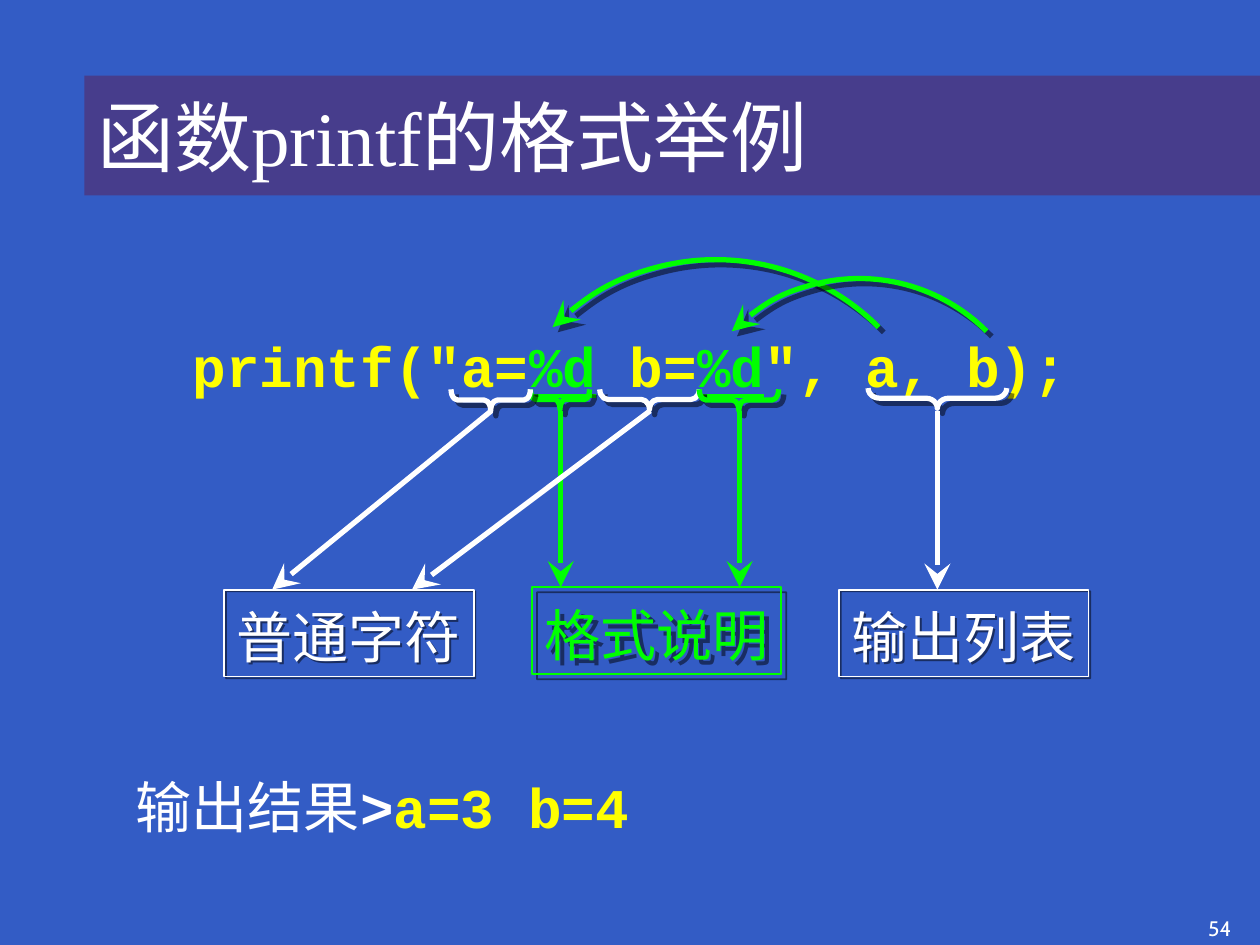
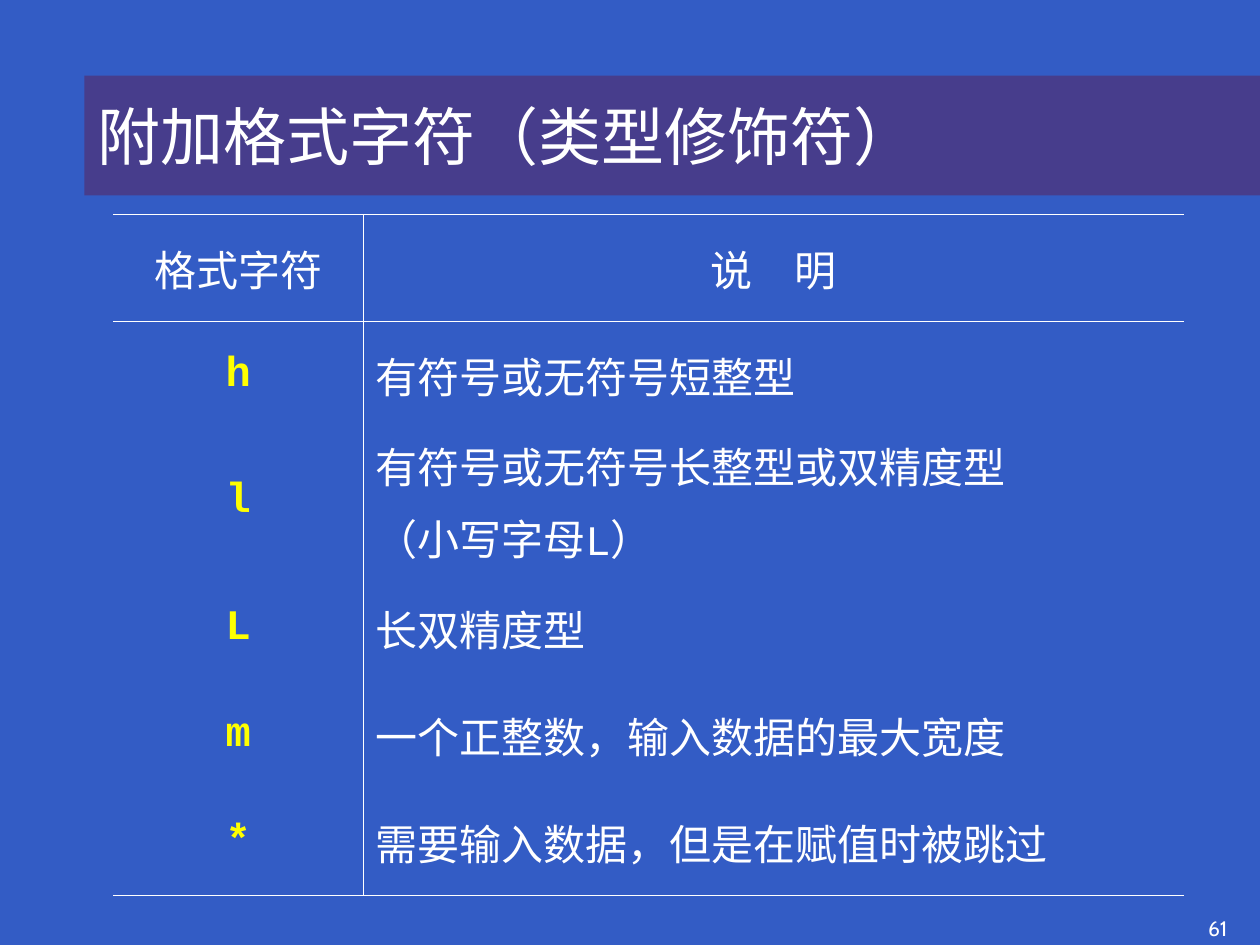
from lxml import etree
from pptx import Presentation
from pptx import util as u
from pptx.dml.color import RGBColor
from pptx.enum import shapes, text
from pptx.oxml.ns import qn

COLORS = {
    "back": "335CC5",
    "band": "473D8C",
    "plain": "FFFFFF",
    "code": "FFFF00",
    "format": "00FF00",
    "shadow": "000000",
}
PLAIN = {"name": "Arial", "size": u.Pt(32), "color": "plain"}
CODE = {"name": "Courier New", "size": u.Pt(32), "bold": True, "color": "code"}
SPECIFIER = {**CODE, "underline": True, "color": "format"}
RESULT = {**CODE, "bold": False, "color": "plain"}
TITLE = {"name": "Times New Roman", "color": "plain"}
NUMBER = {"name": "Cabin", "size": u.Pt(12), "color": "plain"}
HEADER = {**TITLE, "size": u.Pt(24)}
SYMBOL = {**CODE, "size": u.Pt(24)}
MEANING = {**RESULT, "size": u.Pt(24)}

MODIFIERS = [
    ("h", ["有符号或无符号短整型"]),
    ("l", ["有符号或无符号长整型或双精度型", "（小写字母L）"]),
    ("L", ["长双精度型"]),
    ("m", ["一个正整数，输入数据的最大宽度"]),
    ("*", ["需要输入数据，但是在赋值时被跳过"]),
]


def rgb(name):
    """Return the named colour."""
    return RGBColor.from_string(COLORS[name])


def add_node(parent, tag, **attributes):
    """Append a drawing element to its parent."""
    return etree.SubElement(parent, qn(f"a:{tag}"), attributes)


def inches(*lengths):
    """Turn numbers into lengths."""
    return [u.Inches(length) for length in lengths]


class Lecture:
    """Holds the shared style and the current slide."""

    def __init__(self):
        """Start a deck with a coloured background."""
        self.deck = Presentation()
        self.deck.slide_width, self.deck.slide_height = inches(10, 7.5)
        fill = self.deck.slide_master.background.fill
        fill.solid()
        fill.fore_color.rgb = rgb("back")
        self.page = None

    def new_page(self, title, size, number):
        """Add a slide with its title band and page number."""
        self.page = self.deck.slides.add_slide(self.deck.slide_layouts[5])
        band = self.page.shapes.title
        band.left, band.top, band.width, band.height = inches(0.67, 0.6, 9.33, 0.95)
        band.fill.solid()
        band.fill.fore_color.rgb = rgb("band")
        frame = band.text_frame
        frame.auto_size = text.MSO_AUTO_SIZE.NONE
        frame.vertical_anchor = text.MSO_ANCHOR.MIDDLE
        self.fill_para(frame.paragraphs[0], [(title, {**TITLE, "size": u.Pt(size)})])
        self.textbox((9.49, 7.22, 0.51, 0.28), [(str(number), NUMBER)])

    def fill_para(self, para, spans, **layout):
        """Fill a paragraph with formatted spans."""
        for name, value in {"alignment": text.PP_ALIGN.LEFT, **layout}.items():
            setattr(para, name, value)
        for words, style in spans:
            span = para.add_run()
            span.text = words
            for name, value in style.items():
                if name == "color":
                    span.font.color.rgb = rgb(value)
                else:
                    setattr(span.font, name, value)

    def textbox(self, place, spans, **layout):
        """Add a wrapped text box."""
        box = self.page.shapes.add_textbox(*inches(*place))
        box.text_frame.word_wrap = True
        self.fill_para(box.text_frame.paragraphs[0], spans, **layout)

    def outline(self, kind, place, color, width, distance):
        """Add an unfilled shape that casts a shadow."""
        shape = self.page.shapes.add_shape(kind, *inches(*place))
        shape.fill.background()
        shape.line.color.rgb = rgb(color)
        shape.line.width = u.Pt(width)
        shape.shadow.inherit = False
        effects = shape.element.spPr.find(qn("a:effectLst"))
        shadow = add_node(effects, "outerShdw", dist=str(u.Pt(distance)),
                          dir="2700000", algn="ctr", rotWithShape="0")
        tint = add_node(shadow, "srgbClr", val=COLORS["shadow"])
        add_node(tint, "alpha", val="50000")
        return shape

    def label(self, left, top, words, color, distance):
        """Add a framed label."""
        box = self.outline(shapes.MSO_SHAPE.RECTANGLE, (left, top, 1.98, 0.69),
                           color, 1, distance)
        frame = box.text_frame
        frame.word_wrap = False
        frame.auto_size = text.MSO_AUTO_SIZE.SHAPE_TO_FIT_TEXT
        frame.vertical_anchor = text.MSO_ANCHOR.TOP
        self.fill_para(frame.paragraphs[0], [(words, {**PLAIN, "color": color})],
                       line_spacing=1.1)

    def brace(self, start, end, top, depth, color):
        """Add a brace that points down from a stretch of code."""
        length = end - start
        place = ((start + end - depth) / 2, top + (depth - length) / 2, depth, length)
        brace = self.outline(shapes.MSO_SHAPE.LEFT_BRACE, place, color, 3, 4.2)
        brace.rotation = 270
        brace.adjustments[0] = length / depth / 12

    def arc(self, center, middle, radius):
        """Add a quarter circle with an arrowhead at its left end."""
        place = (center - radius, middle - radius, 2 * radius, 2 * radius)
        arc = self.outline(shapes.MSO_SHAPE.ARC, place, "format", 3, 4.2)
        arc.rotation = 315
        self.arrowhead(arc, "headEnd")

    def arrow(self, start, end, color):
        """Add a straight arrow."""
        line = self.page.shapes.add_connector(
            shapes.MSO_CONNECTOR.STRAIGHT, *inches(*start, *end))
        line.line.color.rgb = rgb(color)
        line.line.width = u.Pt(3)
        self.arrowhead(line, "tailEnd")
        add_node(line.element.spPr, "effectLst")

    def arrowhead(self, shape, side):
        """Put a large arrowhead on one end of a line."""
        add_node(shape.element.spPr.find(qn("a:ln")), side,
                 type="stealth", w="lg", len="lg")

    def cell(self, cell, lines, style, align, borders):
        """Fill a table cell and rule the given sides."""
        for side in "LRTB":
            edge = add_node(cell._tc.get_or_add_tcPr(), f"ln{side}", w=str(u.Pt(0.45)))
            if side in borders:
                add_node(add_node(edge, "solidFill"), "srgbClr", val=COLORS["plain"])
            else:
                add_node(edge, "noFill")
        cell.fill.background()
        cell.vertical_anchor = text.MSO_ANCHOR.MIDDLE
        for index, words in enumerate(lines):
            frame = cell.text_frame
            para = frame.add_paragraph() if index else frame.paragraphs[0]
            self.fill_para(para, [(words, style)], alignment=align,
                           space_before=u.Pt(6 if index else 0))

    def table(self, place, widths, heights, header, rows):
        """Add a table of symbols and their meanings."""
        grid = self.page.shapes.add_table(
            len(heights), len(widths), *inches(*place)).table
        grid.first_row = grid.horz_banding = False
        for column, width in zip(grid.columns, widths):
            column.width = u.Inches(width)
        for row, height in zip(grid.rows, heights):
            row.height = u.Inches(height)
        center, left = text.PP_ALIGN.CENTER, text.PP_ALIGN.LEFT
        for column, (words, side) in enumerate(zip(header, "RL")):
            self.cell(grid.cell(0, column), [words], HEADER, center, side + "TB")
        for index, (symbol, meaning) in enumerate(rows, 1):
            rule = {1: "T", len(rows): "B"}.get(index, "")
            self.cell(grid.cell(index, 0), [symbol], SYMBOL, center, "R" + rule)
            self.cell(grid.cell(index, 1), meaning, MEANING, left, "L" + rule)


def build_example(lecture):
    """Build the slide that takes a printf call apart."""
    lecture.new_page("函数printf的格式举例", 44, 54)
    lecture.textbox((0, 2.53, 10, 0.69), [
        ('printf("a=', CODE), ("%d", SPECIFIER), (" b=", CODE),
        ("%d", SPECIFIER), ('", a, b);', CODE),
    ], alignment=text.PP_ALIGN.CENTER, line_spacing=1.1)
    for start, end, top, depth, color in [
        (6.89, 7.99, 3.08, 0.16, "plain"),
        (4.21, 4.68, 3.09, 0.16, "format"),
        (4.76, 5.55, 3.09, 0.16, "plain"),
        (3.58, 4.21, 3.09, 0.17, "plain"),
        (5.55, 6.18, 3.09, 0.17, "format"),
    ]:
        lecture.brace(start, end, top, depth, color)
    for left, top, words, color, distance, arrows in [
        (4.22, 4.66, "格式说明", "format", 4.2, [(4.45, 4.45), (5.87, 5.87)]),
        (1.78, 4.68, "普通字符", "plain", 1.4, [(3.9, 2.16), (5.16, 3.27)]),
        (6.66, 4.68, "输出列表", "plain", 1.4, [(7.44, 7.44)]),
    ]:
        lecture.label(left, top, words, color, distance)
        for start, end in arrows:
            lecture.arrow((start, 3.26), (end, top), color)
    lecture.arc(5.68, 3.89, 1.83)
    lecture.arc(6.82, 3.64, 1.43)
    lecture.textbox((0.98, 6.03, 7.32, 0.69), [
        ("输出结果", RESULT), (">", {**RESULT, "bold": True}), ("a=3 b=4", CODE),
    ], line_spacing=1.1)


def build_modifiers(lecture):
    """Build the slide that lists the type modifiers."""
    lecture.new_page("附加格式字符（类型修饰符）", 36, 61)
    heights = [0.85, 0.85, 1.16, 0.85, 0.85, 0.85]
    lecture.table((0.9, 1.7, 8.5, sum(heights)), [1.98, 6.52], heights,
                  ("格式字符", "说　明"), MODIFIERS)


def main():
    """Build and save the deck."""
    lecture = Lecture()
    build_example(lecture)
    build_modifiers(lecture)
    lecture.deck.save("out.pptx")


if __name__ == "__main__":
    main()
